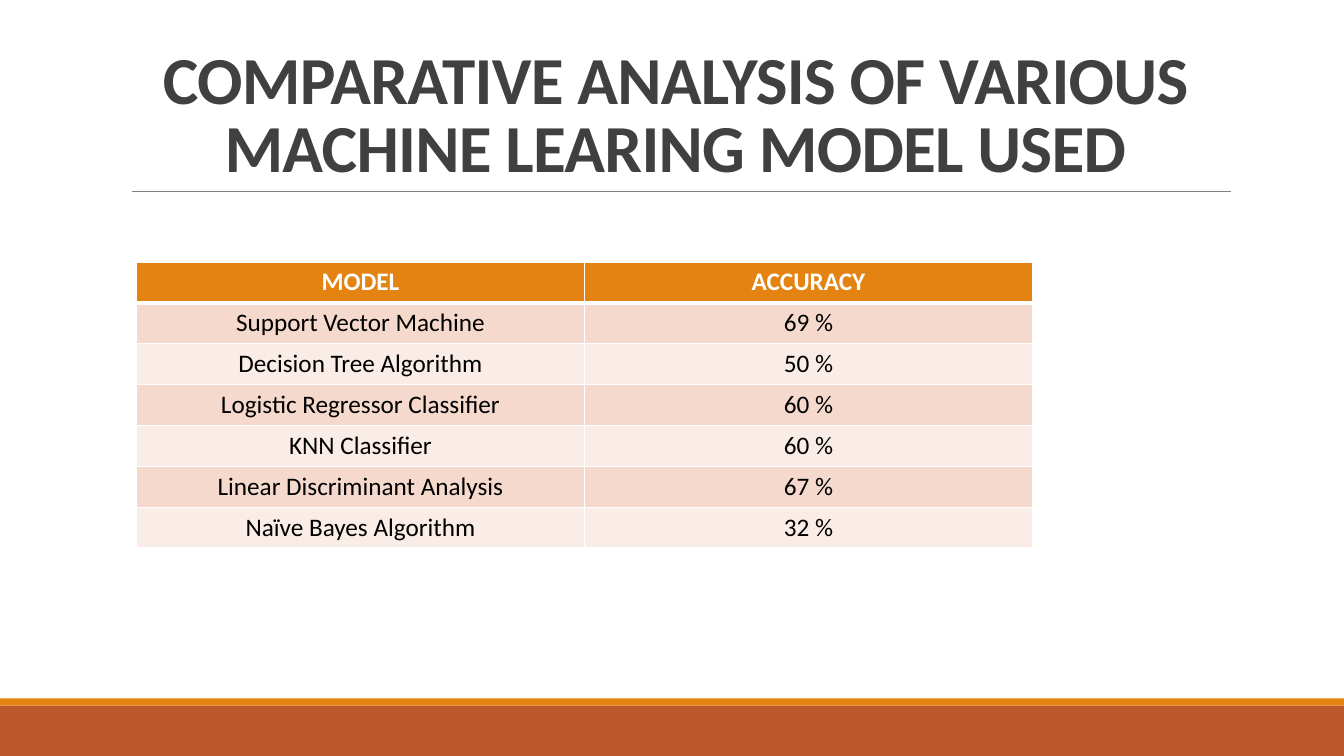
from dataclasses import dataclass

from lxml import etree
from pptx import Presentation
from pptx.dml.color import RGBColor
from pptx.enum.shapes import MSO_CONNECTOR, MSO_SHAPE
from pptx.enum.text import MSO_ANCHOR, MSO_AUTO_SIZE, PP_ALIGN
from pptx.oxml.ns import qn
from pptx.slide import Slide
from pptx.table import _Cell
from pptx.util import Cm, Pt

RECTANGLE = MSO_SHAPE.RECTANGLE
STRAIGHT = MSO_CONNECTOR.STRAIGHT
BOTTOM = MSO_ANCHOR.BOTTOM
NO_AUTOFIT = MSO_AUTO_SIZE.NONE
CENTER = PP_ALIGN.CENTER

FONT = "Calibri"
COLORS = {
    "white": "FFFFFF",
    "black": "000000",
    "title": "404040",
    "rule": "808080",
    "orange": "E48312",
    "rust": "BD582C",
    "dark band": "F5D9CC",
    "light band": "FAEDE7",
}
SLIDE_WIDTH = 33.87
SLIDE_HEIGHT = 19.05
TITLE = "COMPARATIVE ANALYSIS OF VARIOUS MACHINE LEARING MODEL USED"
COLUMN_WIDTH = 11.29
ROW_HEIGHT = 1.03


@dataclass(frozen=True)
class Stripe:
    top: float
    height: float
    color: str


@dataclass(frozen=True)
class ModelScore:
    model: str
    accuracy: str


STRIPES = [Stripe(17.78, 1.27, "rust"), Stripe(17.6, 0.18, "orange")]
HEADER = ModelScore("MODEL", "ACCURACY")
SCORES = [
    ModelScore("Support Vector Machine", "69 %"),
    ModelScore("Decision Tree Algorithm", "50 %"),
    ModelScore("Logistic Regressor Classifier", "60 %"),
    ModelScore("KNN Classifier", "60 %"),
    ModelScore("Linear Discriminant Analysis", "67 %"),
    ModelScore("Naïve Bayes Algorithm", "32 %"),
]


def rgb(name: str) -> RGBColor:
    return RGBColor.from_string(COLORS[name])


def draw_stripe(slide: Slide, stripe: Stripe) -> None:
    shape = slide.shapes.add_shape(
        RECTANGLE, 0, Cm(stripe.top), Cm(SLIDE_WIDTH), Cm(stripe.height)
    )
    shape.shadow.inherit = False
    shape.fill.solid()
    shape.fill.fore_color.rgb = rgb(stripe.color)
    shape.line.fill.background()


def draw_title_rule(slide: Slide) -> None:
    rule = slide.shapes.add_connector(STRAIGHT, Cm(3.33), Cm(4.83), Cm(31.01), Cm(4.83))
    rule.line.color.rgb = rgb("rule")
    rule.line.width = Pt(0.5)
    etree.SubElement(rule._element.spPr, qn("a:effectLst"))


def write_title(slide: Slide) -> None:
    title = slide.shapes.title
    title.left, title.top = Cm(3.05), Cm(0.79)
    title.width, title.height = Cm(27.94), Cm(4.04)
    frame = title.text_frame
    frame.text = TITLE
    frame.word_wrap = True
    frame.auto_size = NO_AUTOFIT
    frame.vertical_anchor = BOTTOM
    paragraph = frame.paragraphs[0]
    paragraph.alignment = CENTER
    paragraph.line_spacing = 0.85
    paragraph.font.name = FONT
    paragraph.font.size = Pt(48)
    paragraph.font.bold = True
    paragraph.font.color.rgb = rgb("title")
    paragraph.runs[0]._r.get_or_add_rPr().set("spc", "-50")


def add_borders(cell: _Cell, widths: dict[str, int]) -> None:
    properties = cell._tc.get_or_add_tcPr()
    for side, width in widths.items():
        border = etree.SubElement(properties, qn(f"a:ln{side}"), w=str(Pt(width)))
        fill = etree.SubElement(border, qn("a:solidFill"))
        etree.SubElement(fill, qn("a:srgbClr"), val=COLORS["white"])


def write_cell(cell: _Cell, text: str, row: int) -> None:
    is_header = row == 0
    top_width = 3 if row == 1 else 1
    bottom_width = 3 if is_header else 1
    add_borders(cell, {"L": 1, "R": 1, "T": top_width, "B": bottom_width})
    band = "dark band" if row % 2 else "light band"
    cell.fill.solid()
    cell.fill.fore_color.rgb = rgb("orange" if is_header else band)
    cell.text = text
    paragraph = cell.text_frame.paragraphs[0]
    paragraph.alignment = CENTER
    paragraph.font.name = FONT
    paragraph.font.size = Pt(18)
    paragraph.font.bold = is_header
    paragraph.font.color.rgb = rgb("white" if is_header else "black")


def draw_score_table(slide: Slide) -> None:
    entries = [HEADER, *SCORES]
    table = slide.shapes.add_table(
        len(entries), 2, Cm(3.44), Cm(6.6),
        Cm(2 * COLUMN_WIDTH), Cm(len(entries) * ROW_HEIGHT),
    ).table
    for row, entry in enumerate(entries):
        table.rows[row].height = Cm(ROW_HEIGHT)
        for column, text in enumerate((entry.model, entry.accuracy)):
            write_cell(table.cell(row, column), text, row)


def main() -> None:
    presentation = Presentation()
    presentation.slide_width = Cm(SLIDE_WIDTH)
    presentation.slide_height = Cm(SLIDE_HEIGHT)
    slide = presentation.slides.add_slide(presentation.slide_layouts.get_by_name("Title Only"))
    for stripe in STRIPES:
        draw_stripe(slide, stripe)
    draw_title_rule(slide)
    write_title(slide)
    draw_score_table(slide)
    presentation.save("out.pptx")


if __name__ == "__main__":
    main()
